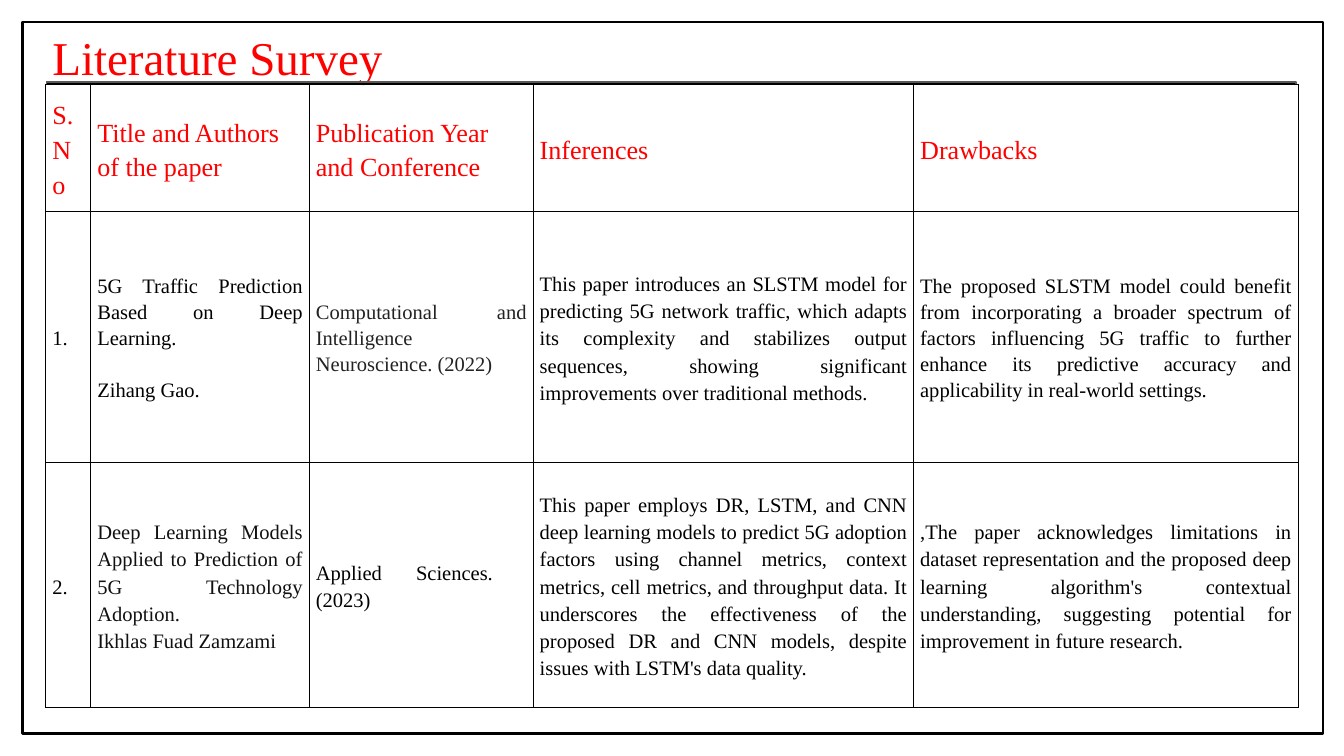
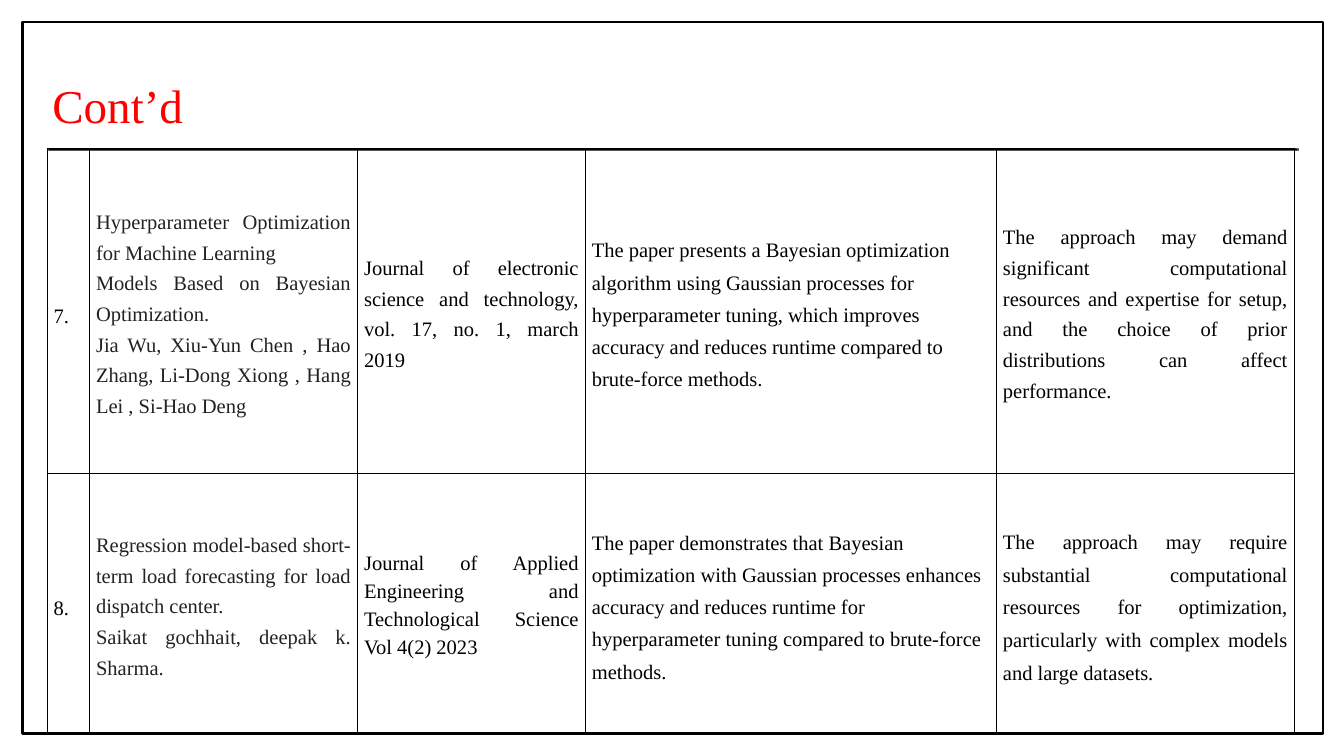
from pptx import Presentation
from pptx import util as u
from pptx.dml.color import RGBColor
from pptx.enum import shapes, text
from pptx.oxml import parse_xml
from pptx.oxml.ns import nsdecls

FONT = "Times New Roman"
RED, BLACK, GREY, DARK, SOFT = "FF0000", "000000", "595959", "111111", "222222"
MARGIN = 0.25
HEADING = dict(size=28, color=RED)
JUSTIFIED = dict(align=text.PP_ALIGN.JUSTIFY)

PAGES = [
    dict(
        title="Literature Survey",
        title_top=0.66,
        rule=(1.75, 3.1),
        table=(1.73, 3.2),
        columns=(1.7, 8.26, 8.46, 14.38, 14.53),
        heights=(4.78, 9.5, 9.27),
        rows=[
            [
                ("S.No", HEADING),
                ("Title and Authors of the paper", HEADING),
                ("Publication Year and Conference", HEADING),
                ("Inferences", HEADING),
                ("Drawbacks", HEADING),
            ],
            [
                ("1.", {}),
                ("5G Traffic Prediction Based on Deep Learning.\nZihang Gao.",
                 dict(JUSTIFIED, spacing=1.14, gap=28)),
                ("Computational and Intelligence Neuroscience. (2022)",
                 dict(JUSTIFIED, spacing=1.14, color=SOFT)),
                ("This paper introduces an SLSTM model for predicting 5G network traffic, "
                 "which adapts its complexity and stabilizes output sequences, showing "
                 "significant improvements over traditional methods.", JUSTIFIED),
                ("The proposed SLSTM model could benefit from incorporating a broader "
                 "spectrum of factors influencing 5G traffic to further enhance its "
                 "predictive accuracy and applicability in real-world settings.",
                 dict(JUSTIFIED, spacing=1.14)),
            ],
            [
                ("2.", {}),
                ("Deep Learning Models Applied to Prediction of 5G Technology Adoption.\n"
                 "Ikhlas Fuad Zamzami", dict(JUSTIFIED, color=DARK)),
                ("Applied Sciences. (2023)", dict(JUSTIFIED, right=1.52)),
                ("This paper employs DR, LSTM, and CNN deep learning models to predict 5G "
                 "adoption factors using channel metrics, context metrics, cell metrics, "
                 "and throughput data. It underscores the effectiveness of the proposed DR "
                 "and CNN models, despite issues with LSTM's data quality.", JUSTIFIED),
                (",The paper acknowledges limitations in dataset representation and the "
                 "proposed deep learning algorithm's contextual understanding, suggesting "
                 "potential for improvement in future research.", JUSTIFIED),
            ],
        ],
    ),
    dict(
        title="Cont’d",
        title_top=2.46,
        rule=(1.83, 5.61),
        table=(1.78, 5.61),
        columns=(1.6, 10.13, 8.61, 15.54, 11.25),
        heights=(12.27, 9.83),
        rows=[
            [
                ("7.", dict(spacing=1.53)),
                ("Hyperparameter Optimization for Machine Learning\n"
                 "Models Based on Bayesian Optimization.\n"
                 "Jia Wu, Xiu-Yun Chen , Hao Zhang, Li-Dong Xiong , Hang Lei , Si-Hao Deng",
                 dict(JUSTIFIED, spacing=1.35, color=SOFT)),
                ("Journal of electronic science and technology, vol. 17, no. 1, march 2019",
                 dict(JUSTIFIED, spacing=1.35)),
                ("The paper presents a Bayesian optimization algorithm using Gaussian "
                 "processes for hyperparameter tuning, which improves accuracy and reduces "
                 "runtime compared to brute-force methods.", dict(spacing=1.42)),
                ("The approach may demand significant computational resources and expertise "
                 "for setup, and the choice of prior distributions can affect performance.",
                 dict(JUSTIFIED, spacing=1.35)),
            ],
            [
                ("8.", dict(spacing=1.53)),
                ("Regression model-based short-term load forecasting for load dispatch "
                 "center.\nSaikat gochhait, deepak k. Sharma.",
                 dict(JUSTIFIED, spacing=1.35, color=SOFT)),
                ("Journal of Applied Engineering and Technological Science Vol 4(2) 2023",
                 dict(JUSTIFIED, spacing=1.24)),
                ("The paper demonstrates that Bayesian optimization with Gaussian processes "
                 "enhances accuracy and reduces runtime for hyperparameter tuning compared "
                 "to brute-force methods.", dict(spacing=1.42)),
                ("The approach may require substantial computational resources for "
                 "optimization, particularly with complex models and large datasets.",
                 dict(JUSTIFIED, spacing=1.45)),
            ],
        ],
    ),
]


def rgb(value):
    """Turn a hex string into a colour."""
    return RGBColor.from_string(value)


def write(frame, words, size=22, color=BLACK, spacing=1.2, gap=0,
          align=text.PP_ALIGN.LEFT, right=MARGIN):
    """Fill a text frame, one paragraph per line of words."""
    frame.margin_right = u.Cm(right)
    for index, line in enumerate(words.split("\n")):
        paragraph = frame.add_paragraph() if index else frame.paragraphs[0]
        paragraph.alignment = align
        paragraph.line_spacing = spacing
        paragraph.space_before = u.Pt(gap if index else 0)
        run = paragraph.add_run()
        run.text = line
        run.font.name = FONT
        run.font.size = u.Pt(size)
        run.font.color.rgb = rgb(color)


def add_title(slide, words, top):
    """Place and write the slide title."""
    title = slide.shapes.title
    title.left, title.top = u.Cm(1.98), u.Cm(top)
    title.width, title.height = u.Cm(46.84), u.Cm(2.16)
    frame = title.text_frame
    frame.word_wrap = True
    frame.auto_size = text.MSO_AUTO_SIZE.SHAPE_TO_FIT_TEXT
    frame.vertical_anchor = text.MSO_ANCHOR.TOP
    frame.margin_left = frame.margin_top = frame.margin_bottom = 0
    write(frame, words, size=50.4, color=RED, right=0)


def add_box(slide, left, top, width, height, line, weight, fill=None):
    """Draw an outlined rectangle, filled if a colour is given."""
    box = slide.shapes.add_shape(shapes.MSO_SHAPE.RECTANGLE, u.Cm(left), u.Cm(top),
                                 u.Cm(width), u.Cm(height))
    box.shadow.inherit = False
    box.line.color.rgb = rgb(line)
    box.line.width = u.Pt(weight)
    if fill:
        box.fill.solid()
        box.fill.fore_color.rgb = rgb(fill)
    else:
        box.fill.background()


def add_borders(cell):
    """Draw a thin black line on each side of a cell."""
    properties = cell._tc.get_or_add_tcPr()
    for side in ("lnL", "lnR", "lnT", "lnB"):
        properties.append(parse_xml(
            f'<a:{side} {nsdecls("a")} w="{u.Pt(0.75)}"><a:solidFill>'
            f'<a:srgbClr val="{BLACK}"/></a:solidFill></a:{side}>'))


def add_survey(slide, left, top, columns, heights, rows):
    """Build the table of surveyed papers."""
    survey = slide.shapes.add_table(
        len(rows), len(columns), u.Cm(left), u.Cm(top),
        u.Cm(sum(columns)), u.Cm(sum(heights))).table
    survey.first_row = survey.horz_banding = False
    for column, width in zip(survey.columns, columns):
        column.width = u.Cm(width)
    for row, height, papers in zip(survey.rows, heights, rows):
        row.height = u.Cm(height)
        for cell, (words, style) in zip(row.cells, papers):
            add_borders(cell)
            cell.fill.background()
            cell.vertical_anchor = text.MSO_ANCHOR.MIDDLE
            cell.margin_left = cell.margin_top = cell.margin_bottom = u.Cm(MARGIN)
            cell.margin_right = u.Cm(style.get("right", MARGIN))
            look = {key: value for key, value in style.items() if key != "right"}
            write(cell.text_frame, words, **look)


def main():
    """Build and save the slides."""
    deck = Presentation()
    deck.slide_width, deck.slide_height = u.Cm(50.8), u.Cm(28.58)
    for page in PAGES:
        slide = deck.slides.add_slide(deck.slide_layouts[5])
        add_title(slide, page["title"], page["title_top"])
        add_box(slide, *page["rule"], 47.24, 0.09, GREY, 1.5, fill=BLACK)
        add_survey(slide, *page["table"], page["columns"], page["heights"], page["rows"])
        add_box(slide, 0.86, 0.84, 49.15, 26.9, BLACK, 2.75)
    deck.save("out.pptx")


if __name__ == "__main__":
    main()
